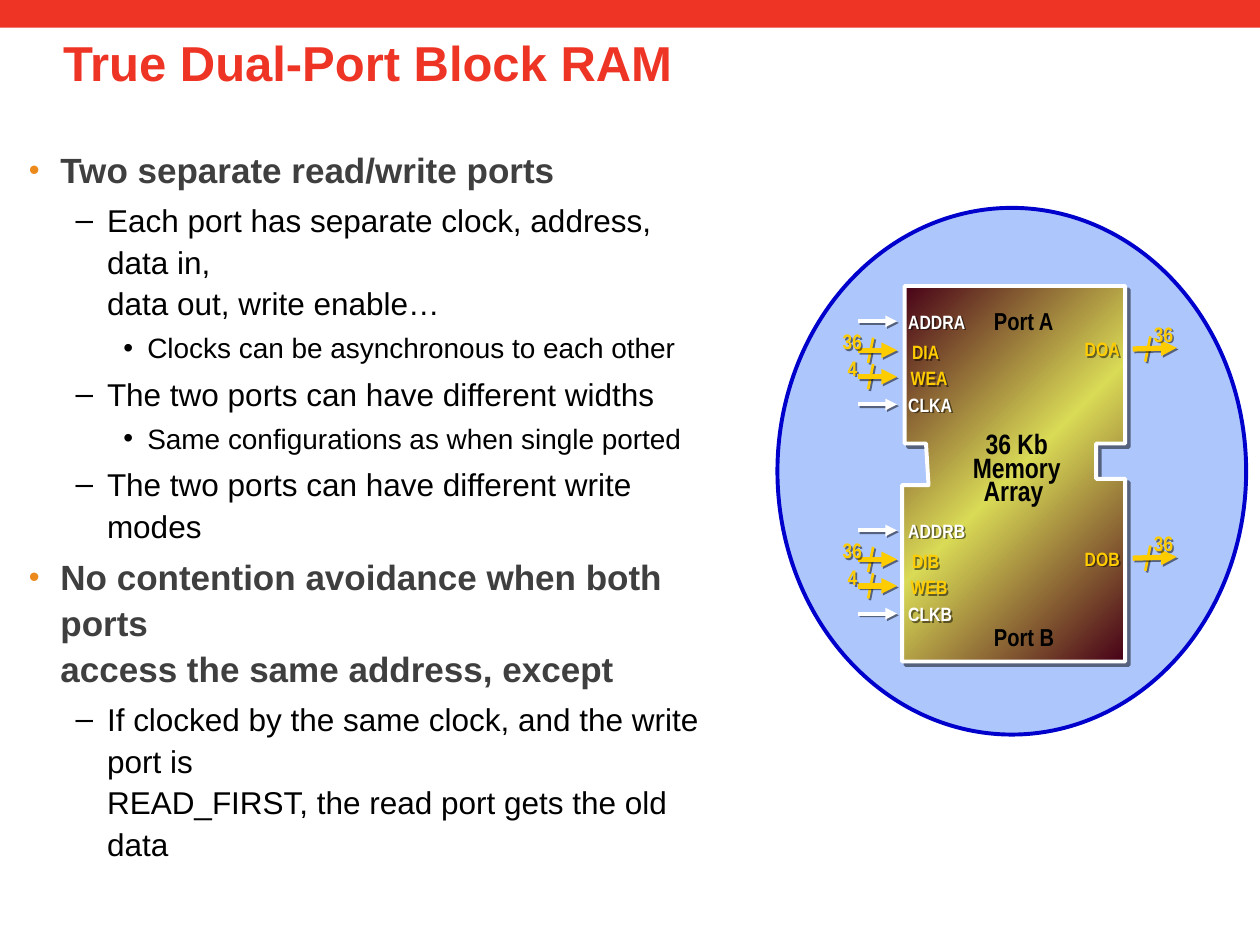
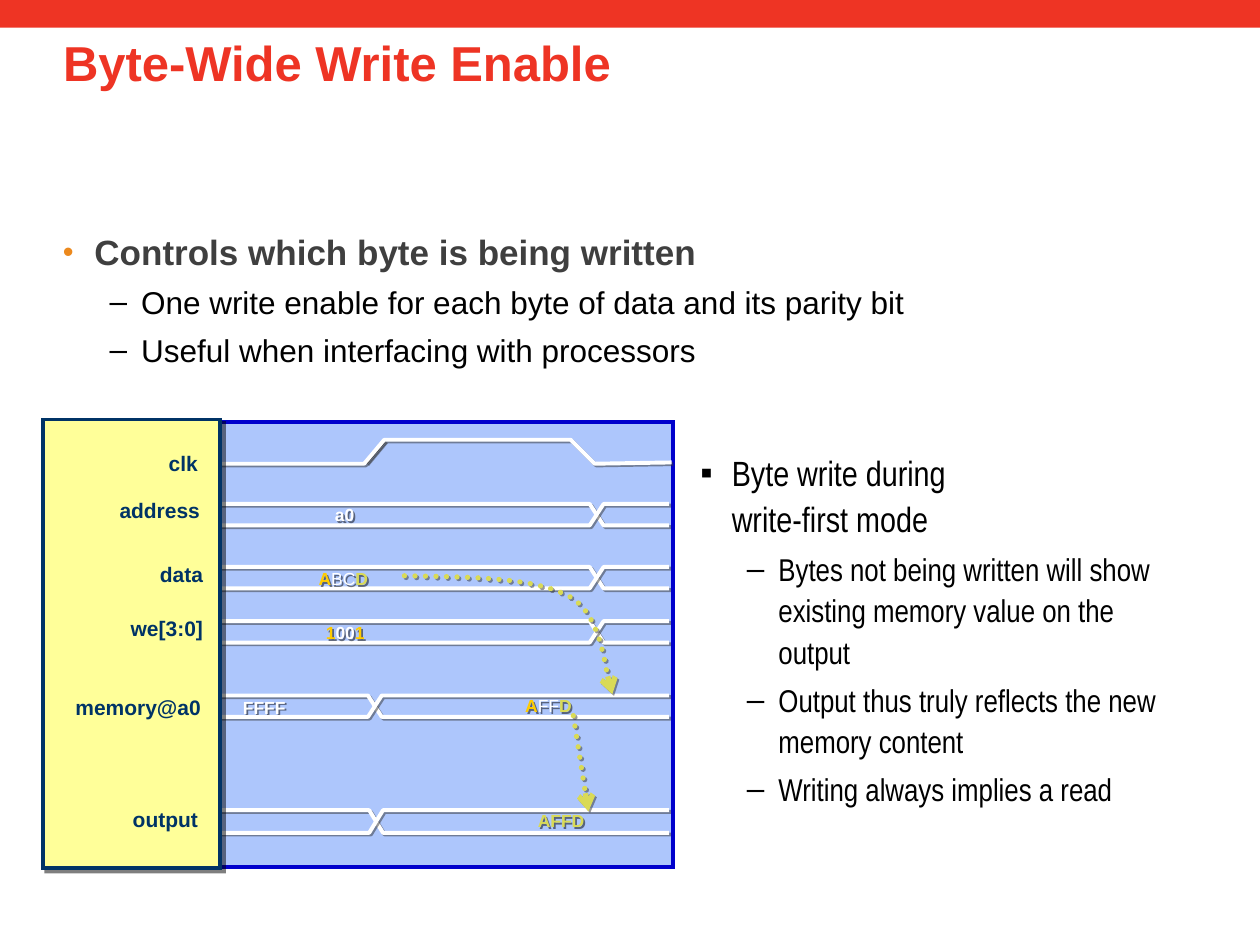
from lxml import etree
from pptx import Presentation, util as u
from pptx.dml.color import RGBColor
from pptx.enum import dml, shapes, text
from pptx.oxml.ns import qn

# Shared style
RED = RGBColor(0xEE, 0x34, 0x24)
ORANGE = RGBColor(0xEC, 0x89, 0x1D)
GREY = RGBColor(0x3F, 0x3F, 0x3F)
EDGE_GREY = RGBColor(0x5F, 0x5F, 0x5F)
SHADE = RGBColor(0x33, 0x33, 0x33)
BLACK = RGBColor(0, 0, 0)
WHITE = RGBColor(0xFF, 0xFF, 0xFF)
GOLD = RGBColor(0xFF, 0xCC, 0)
LIME = RGBColor(0xD9, 0xDA, 0x56)
MAROON = RGBColor(0x47, 0, 0x17)
SKY = RGBColor(0x5C, 0x8E, 0xFB)
BLUE = RGBColor(0, 0, 0xCC)
NAVY = RGBColor(0, 0x33, 0x66)
CREAM = RGBColor(0xFF, 0xFF, 0x99)
WIDE, NARROW = "Arial", "Arial Narrow"
WIDTH, HEIGHT = 10, 7.5
SIZES = (20, 18, 16)
INDENTS = ((0.25, 0.25), (0.62, 0.25), (0.94, 0.19))
LEFT, CENTER, RIGHT = text.PP_ALIGN.LEFT, text.PP_ALIGN.CENTER, text.PP_ALIGN.RIGHT

# Slide 1: bullets as (level, text)
RAM_TITLE = "True Dual-Port Block RAM"
RAM_POINTS = [
    (0, "Two separate read/write ports"),
    (1, "Each port has separate clock, address, data in, \ndata out, write enable…"),
    (2, "Clocks can be asynchronous to each other"),
    (1, "The two ports can have different widths"),
    (2, "Same configurations as when single ported"),
    (1, "The two ports can have different write modes"),
    (0, "No contention avoidance when both ports\naccess the same address, except"),
    (1, "If clocked by the same clock, and the write port is\n"
        "READ_FIRST, the read port gets the old data"),
]
CHIP = [(7.37, 3.85), (7.16, 3.85), (7.16, 5.25), (8.93, 5.25), (8.93, 3.8), (8.7, 3.8),
        (8.7, 3.52), (8.93, 3.52), (8.93, 2.27), (7.18, 2.27), (7.18, 3.52), (7.35, 3.52)]
# Input pins: name, left of name, arrow height, bus width, left of bus width
INPUT_PINS = [("ADDR", 7.11, 2.55, None, None), ("DI", 7.14, 2.78, "36", 6.59),
              ("WE", 7.13, 2.99, "4", 6.63), ("CLK", 7.11, 3.21, None, None)]
# Port letter, shift down from port A, top of the port caption
PORTS = [("A", 0, 2.38), ("B", 1.66, 4.89)]

# Slide 2
WRITE_TITLE = "Byte-Wide Write Enable"
WRITE_POINTS = [
    (0, "Controls which byte is being written"),
    (1, "One write enable for each byte of data and its parity bit"),
    (1, "Useful when interfacing with processors"),
]
MODE_POINTS = [
    (0, "Byte write during \nwrite-first mode"),
    (1, "Bytes not being written will show existing memory value on the output"),
    (1, "Output thus truly reflects the new memory content"),
    (1, "Writing always implies a read"),
]
# Signal name, box, alignment, wrap
SIGNALS = [
    ("clk", (1.24, 3.53, 0.51, 0.3), LEFT, False),
    ("address", (0.85, 3.9, 1.02, 0.3), LEFT, False),
    ("data", (1.03, 4.41, 0.68, 0.3), RIGHT, False),
    ("we[3:0]", (0.73, 4.84, 0.98, 0.3), RIGHT, False),
    ("memory@a0", (0.5, 5.46, 1.22, 0.3), LEFT, True),
    ("output", (0.77, 6.35, 0.9, 0.3), RIGHT, True),
]
CLOCK_WAVE = [(1.49, 3.68), (2.89, 3.68), (3.05, 3.49), (4.53, 3.49), (4.72, 3.68), (5.33, 3.67)]
CLOCK_EDGE = ((2.91, 3.68), (3.06, 3.5))
# Bus waves: upper rail, lower rail, start of the crossing
BUS_WAVES = [(4, 4.17, 4.68), (4.5, 4.67, 4.68), (4.93, 5.1, 4.68),
             (5.52, 5.69, 2.92), (6.43, 6.61, 2.93)]
# Values on the waves: box, alignment, runs of (text, colour, bold)
VALUES = [
    ((2.52, 3.95, 0.43, 0.27), CENTER, [("a0", WHITE, True)]),
    ((2.42, 4.89, 0.64, 0.27), CENTER,
     [("1", GOLD, True), ("00", WHITE, True), ("1", GOLD, True)]),
    ((2.39, 4.46, 0.67, 0.27), CENTER,
     [("A", GOLD, True), ("BC", WHITE, False), ("D", LIME, True)]),
    ((4.17, 6.38, 0.67, 0.27), LEFT, [("AFFD", LIME, True)]),
    ((4.07, 5.47, 0.63, 0.27), LEFT,
     [("A", GOLD, True), ("FF", WHITE, False), ("D", LIME, True)]),
    ((1.83, 5.48, 0.63, 0.27), LEFT, [("FFFF", WHITE, True)]),
]
# Dotted arrows: Bezier pieces of four points each
DATA_FLOWS = [
    [((3.21, 4.57), (3.73, 4.58), (4.25, 4.58), (4.53, 4.74)),
     ((4.53, 4.74), (4.8, 4.9), (4.8, 5.38), (4.86, 5.51))],
    [((4.55, 5.68), (4.6, 6), (4.65, 6.32), (4.67, 6.44))],
]


def inches(*lengths):
    return [u.Inches(length) for length in lengths]


def child(parent, tag, **attributes):
    return etree.SubElement(parent, qn(tag), {k: str(v) for k, v in attributes.items()})


def add_shadow(shape, distance, color=BLACK):
    """Cast a half transparent shadow down to the right."""
    props = shape._element.spPr
    effects = props.find(qn("a:effectLst"))
    if effects is None:
        effects = child(props, "a:effectLst")
    shadow = child(effects, "a:outerShdw", dist=u.Pt(distance), dir=45 * 60000,
                   algn="ctr", rotWithShape=0)
    child(child(shadow, "a:srgbClr", val=color), "a:alpha", val=50000)


def style_line(shape, color, width, arrow=None):
    shape.line.color.rgb = color
    shape.line.width = u.Pt(width)
    if arrow:
        child(shape.line._get_or_add_ln(), "a:tailEnd", type=arrow)


def style_run(run, size, color, font, bold):
    run.font.size, run.font.bold, run.font.name = u.Pt(size), bold, font
    run.font.color.rgb = color


def add_label(slide, box, runs, size, font=WIDE, align=LEFT, wrap=True, shadow=False):
    """Add a text box of one paragraph; runs are (text, colour, bold)."""
    label = slide.shapes.add_textbox(*inches(*box))
    if shadow:
        add_shadow(label, 1.4)
    frame = label.text_frame
    frame.word_wrap = wrap
    para = frame.paragraphs[0]
    para.alignment = align
    for words, color, bold in runs:
        span = para.add_run()
        span.text = words
        style_run(span, size, color, font, bold)
    return frame


def add_line(slide, start, end, color, width, arrow=None, shadow=BLACK):
    line = slide.shapes.add_connector(shapes.MSO_CONNECTOR.STRAIGHT, *inches(*start, *end))
    style_line(line, color, width, arrow)
    add_shadow(line, 1.4, shadow)


def add_outline(slide, points, color, width, closed=False, arrow=None, shadow=(1.4, SHADE)):
    corners = [inches(*point) for point in points]
    builder = slide.shapes.build_freeform(*corners[0])
    builder.add_line_segments(corners[1:], close=closed)
    shape = builder.convert_to_shape()
    shape.fill.background()
    style_line(shape, color, width, arrow)
    shape.shadow.inherit = False
    add_shadow(shape, *shadow)
    return shape


def add_panel(slide, kind, box, fill, line=None, alpha=None):
    panel = slide.shapes.add_shape(kind, *inches(*box))
    panel.shadow.inherit = False
    panel.fill.solid()
    panel.fill.fore_color.rgb = fill
    if alpha:
        child(panel._element.spPr.find(".//" + qn("a:srgbClr")), "a:alpha", val=alpha * 1000)
    if line is None:
        panel.line.fill.background()
    else:
        style_line(panel, line, 2.25)
        child(panel.line._get_or_add_ln(), "a:miter", lim=800000)
    return panel


def add_points(slide, box, points, heading=GREY, bold=True, font=WIDE,
               mark="•", mark_color=ORANGE, mark_size=88, inset=0):
    """Add a bulleted text box of up to three levels."""
    frame = slide.shapes.add_textbox(*inches(*box)).text_frame
    frame.word_wrap = True
    frame.margin_left = u.Inches(inset)
    for index, (level, words) in enumerate(points):
        para = frame.add_paragraph() if index else frame.paragraphs[0]
        para.text = words
        para.level = level
        para.line_spacing = 1.1
        para.space_before = u.Pt(0.2 * SIZES[level])
        left, hang = INDENTS[level]
        props = para._p.get_or_add_pPr()
        props.set("marL", str(u.Inches(left)))
        props.set("indent", str(-u.Inches(hang)))
        child(child(props, "a:buClr"), "a:srgbClr", val=BLACK if level else mark_color)
        child(props, "a:buSzPct", val=(100 if level else mark_size) * 1000)
        child(props, "a:buFont", typeface=WIDE)
        child(props, "a:buChar", char=(mark, "–", "•")[level])
        for span in para.runs:
            style_run(span, SIZES[level], BLACK if level else heading, font,
                      bold and level == 0)


def add_page(deck, title):
    """Add a slide with the red band and its title."""
    page = deck.slides.add_slide(deck.slide_layouts[5])
    add_panel(page, shapes.MSO_SHAPE.RECTANGLE, (0, 0, WIDTH, 0.22), RED)
    holder = page.shapes.title
    holder.left, holder.top, holder.width, holder.height = inches(0.5, 0.23, 9, 1.25)
    frame = holder.text_frame
    frame.text = title
    frame.word_wrap = True
    frame.margin_left = 0
    frame.vertical_anchor = text.MSO_ANCHOR.TOP
    para = frame.paragraphs[0]
    para.alignment = LEFT
    para.line_spacing = 0.98
    style_run(para.runs[0], 28, RED, WIDE, True)
    return page


def add_bus(slide, start, end, slash_x):
    """Add a thick arrow over the slash that marks a bus."""
    add_line(slide, (slash_x, start[1] - 0.1), (slash_x - 0.04, start[1] + 0.1), GOLD, 1.5)
    add_line(slide, start, end, GOLD, 3, "triangle")


def add_port(slide, letter, shift, caption_top):
    def pin(words, left, top, width, color, size=11):
        add_label(slide, (left, top + shift, width, 0.28), [(words, color, True)],
                  size, NARROW, shadow=True)

    for name, left, y, bus, bus_left in INPUT_PINS:
        color = GOLD if bus else WHITE
        start, end = (6.81, y + shift), (7.12, y + shift)
        if bus:
            add_bus(slide, start, end, 6.93)
            pin(bus, bus_left, y - 0.22, 0.57, color, 12)
        else:
            add_line(slide, start, end, color, 2.25, "triangle")
        pin(name + letter, left, y - (0.13 if bus else 0.14), 0.87, color)
    add_bus(slide, (8.99, 2.77 + shift), (9.34, 2.76 + shift), 9.13)
    pin("36", 9.06, 2.5, 0.68, GOLD, 12)
    pin("DO" + letter, 8.51, 2.63, 0.72, GOLD)
    add_label(slide, (7.79, caption_top, 0.8, 0.57), [("Port " + letter, BLACK, True)], 14, NARROW)


def build_ram_page(deck):
    page = add_page(deck, RAM_TITLE)
    add_points(page, (0.23, 1.1, 5.57, 5.98), RAM_POINTS)
    add_panel(page, shapes.MSO_SHAPE.OVAL, (6.17, 1.65, 3.72, 4.18), SKY, BLUE, 50)

    # Memory chip with a diagonal gradient
    chip = add_outline(page, CHIP, WHITE, 2.25, closed=True, shadow=(2.8, BLACK))
    chip.fill.gradient()
    chip.fill.gradient_angle = 315
    stops = chip._element.spPr.find(".//" + qn("a:gsLst"))
    for stop in list(stops):
        stops.remove(stop)
    for place, color in ((0, MAROON), (50, LIME), (100, MAROON)):
        child(child(stops, "a:gs", pos=place * 1000), "a:srgbClr", val=color)
    core = add_label(page, (7.39, 3.41, 1.36, 0.66), [], 16, NARROW, CENTER)
    core.vertical_anchor = text.MSO_ANCHOR.MIDDLE
    para = core.paragraphs[0]
    para.text = "36 Kb\nMemory\nArray "
    para.line_spacing = 0.7
    for span in para.runs:
        style_run(span, 16, BLACK, NARROW, True)

    for port in PORTS:
        add_port(page, *port)


def bezier(a, b, c, d, steps=16):
    for step in range(steps + 1):
        t = step / steps
        weights = ((1 - t) ** 3, 3 * t * (1 - t) ** 2, 3 * t * t * (1 - t), t ** 3)
        yield tuple(sum(w * p[axis] for w, p in zip(weights, (a, b, c, d))) for axis in (0, 1))


def build_write_page(deck):
    page = add_page(deck, WRITE_TITLE)
    add_points(page, (0.5, 1.75, 9, 4.67), WRITE_POINTS)

    # Timing diagram
    add_panel(page, shapes.MSO_SHAPE.RECTANGLE, (1.49, 3.35, 3.85, 3.53), SKY, BLUE, 50)
    add_line(page, *CLOCK_EDGE, EDGE_GREY, 1, shadow=SHADE)
    add_outline(page, CLOCK_WAVE, WHITE, 2.25)
    for upper, lower, cross in BUS_WAVES:
        for before, after in ((upper, lower), (lower, upper)):
            add_outline(page, [(1.52, before), (cross, before), (cross + 0.11, after),
                               (5.31, after)], WHITE, 2.25)
    for pieces in DATA_FLOWS:
        points = [point for piece in pieces for point in bezier(*piece)]
        flow = add_outline(page, points, LIME, 3, arrow="arrow")
        flow.line.dash_style = dml.MSO_LINE.ROUND_DOT
        flow.line._get_or_add_ln().set("cap", "rnd")
    for box, align, runs in VALUES:
        add_label(page, box, runs, 10, align=align, wrap=False, shadow=True)

    # Signal names
    names = add_panel(page, shapes.MSO_SHAPE.RECTANGLE, (0.34, 3.33, 1.41, 3.56), CREAM, NAVY)
    add_shadow(names, 2.8)
    for name, box, align, wrap in SIGNALS:
        add_label(page, box, [(name, NAVY, True)], 12, align=align, wrap=wrap)

    add_points(page, (5.46, 3.5, 3.97, 3.49), MODE_POINTS, BLACK, False, NARROW,
               "▪", BLACK, 100, 0.1)


def main():
    deck = Presentation()
    deck.slide_width, deck.slide_height = inches(WIDTH, HEIGHT)
    build_ram_page(deck)
    build_write_page(deck)
    deck.save("out.pptx")


if __name__ == "__main__":
    main()
